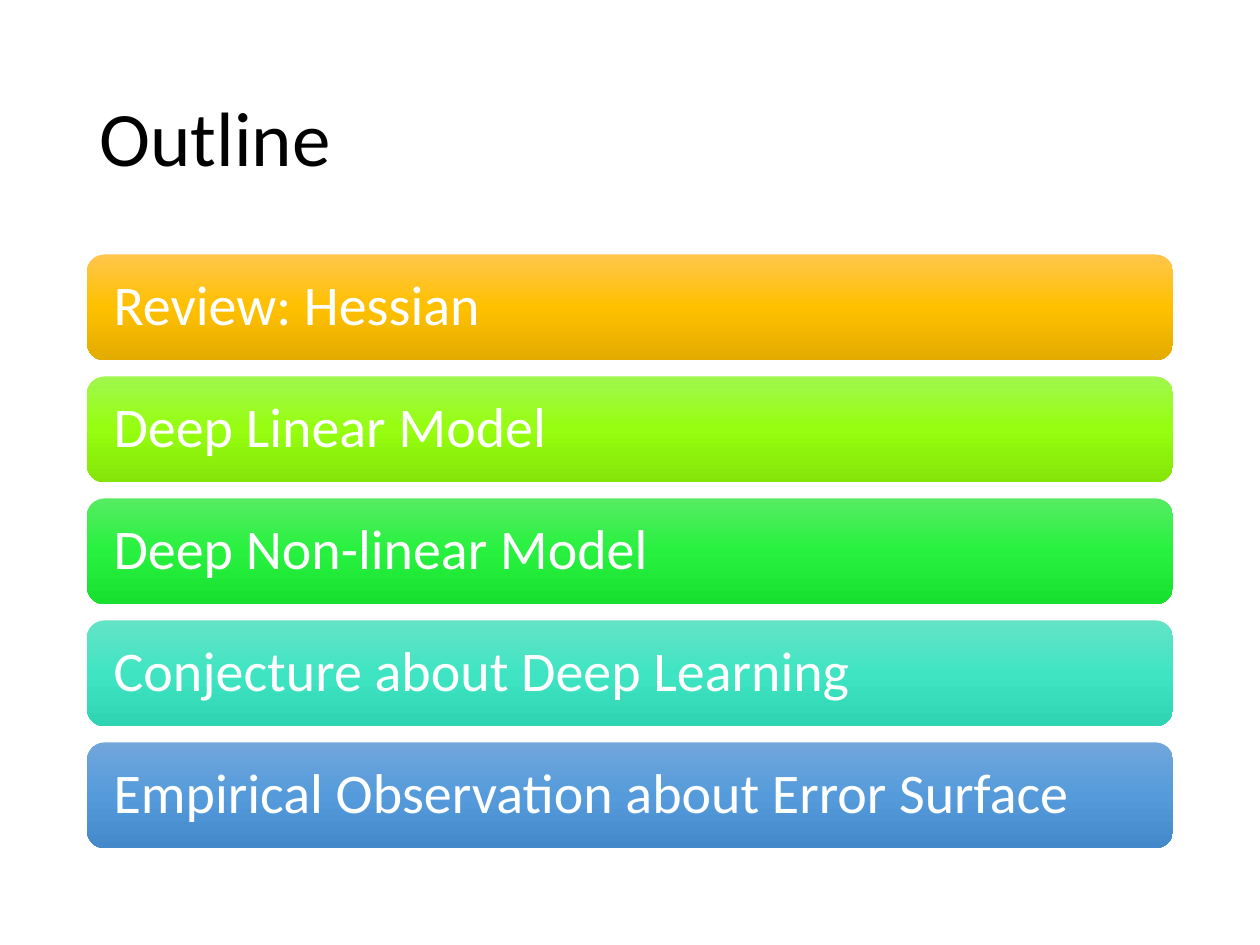
from copy import deepcopy
from dataclasses import dataclass

from pptx import Presentation, util as u
from pptx.dml.color import RGBColor
from pptx.enum import shapes, text
from pptx.oxml.ns import qn

WIDTH, HEIGHT = 10, 7.5
LEFT, SPAN = 0.069 * WIDTH, 0.862 * WIDTH
TOP, BAR, PITCH = 2.02, 0.84, 0.968
INSET = 0.17


@dataclass
class Topic:
    label: str
    stops: tuple[str, str, str]


TOPICS = [
    Topic("Review: Hessian", ("FFC64B", "FFC000", "E3AB00")),
    Topic("Deep Linear Model", ("A0F74E", "96FE0E", "85E509")),
    Topic("Deep Non-linear Model", ("56EC62", "27F13E", "18E02F")),
    Topic("Conjecture about Deep Learning", ("63E3C6", "3FE5C3", "2FD4B2")),
    Topic("Empirical Observation about Error Surface", ("71A6DB", "559BDB", "448ACA")),
]


def rgb(value: str) -> RGBColor:
    return RGBColor.from_string(value)


def write(tf, label: str, size: int, color: str) -> None:
    tf.word_wrap = True
    tf.auto_size = text.MSO_AUTO_SIZE.NONE
    tf.vertical_anchor = text.MSO_ANCHOR.MIDDLE
    p = tf.paragraphs[0]
    p.alignment = text.PP_ALIGN.LEFT
    p.line_spacing = 0.9
    r = p.add_run()
    r.text = label
    r.font.name = "Calibri"
    r.font.size = u.Pt(size)
    r.font.color.rgb = rgb(color)


def shade(sp, colors: tuple[str, str, str]) -> None:
    sp.fill.gradient()
    sp.fill.gradient_angle = 270
    first = sp._element.spPr.find(".//" + qn("a:gs"))
    first.addnext(deepcopy(first))
    for i, (stop, color) in enumerate(zip(sp.fill.gradient_stops, colors)):
        stop.position = i / 2
        stop.color.rgb = rgb(color)


def add_bar(s, row: int, topic: Topic) -> None:
    sp = s.shapes.add_shape(
        shapes.MSO_SHAPE.ROUNDED_RECTANGLE,
        u.Inches(LEFT), u.Inches(TOP + row * PITCH), u.Inches(SPAN), u.Inches(BAR),
    )
    sp.shadow.inherit = False
    sp.line.fill.background()
    shade(sp, topic.stops)
    tf = sp.text_frame
    tf.margin_left = tf.margin_right = u.Inches(INSET)
    write(tf, topic.label, 32, "FFFFFF")


def main() -> None:
    prs = Presentation()
    prs.slide_width, prs.slide_height = u.Inches(WIDTH), u.Inches(HEIGHT)
    s = prs.slides.add_slide(prs.slide_layouts[5])
    title = s.shapes.title
    title.left, title.top = u.Inches(LEFT), u.Inches(0.4)
    title.width, title.height = u.Inches(SPAN), u.Inches(1.45)
    write(title.text_frame, "Outline", 44, "000000")
    for row, topic in enumerate(TOPICS):
        add_bar(s, row, topic)
    prs.save("out.pptx")


if __name__ == "__main__":
    main()
